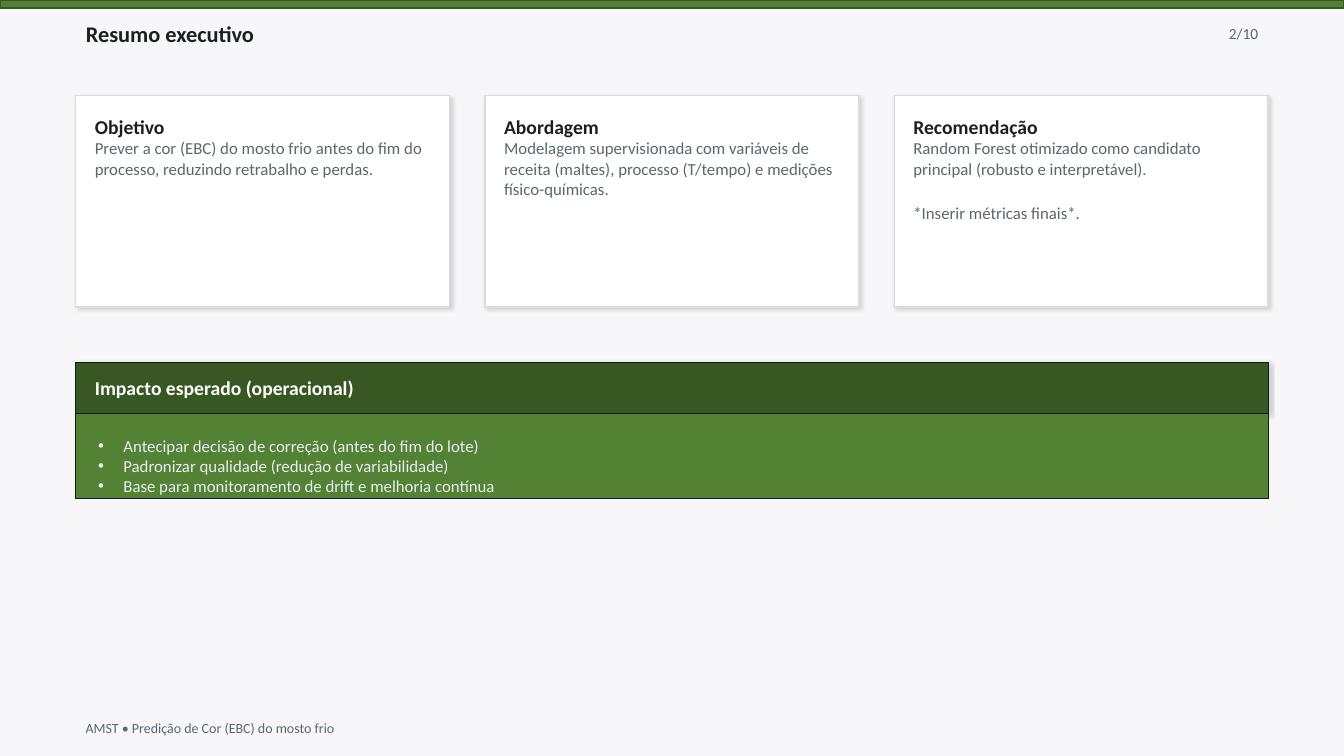
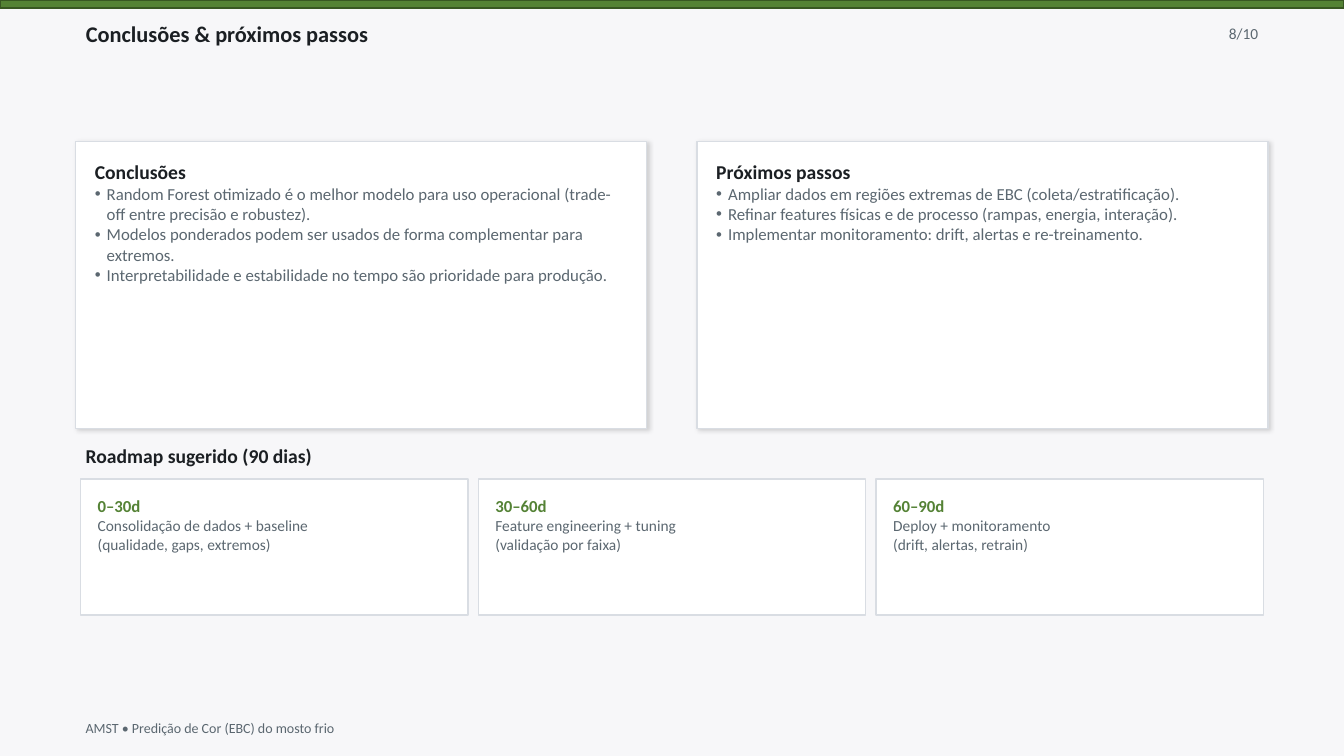
from lxml.etree import SubElement
from pptx import Presentation
from pptx.dml.color import RGBColor
from pptx.enum.shapes import MSO_SHAPE
from pptx.enum.text import MSO_ANCHOR as Anchor, MSO_AUTO_SIZE as AutoSize, PP_ALIGN as Align
from pptx.oxml.ns import qn
from pptx.util import Cm, Pt

# Colours
PAPER = RGBColor(0xF7, 0xF7, 0xF9)
WHITE = RGBColor(0xFF, 0xFF, 0xFF)
INK = RGBColor(0x1B, 0x1F, 0x23)
MUTED = RGBColor(0x5B, 0x67, 0x70)
PALE = RGBColor(0xE9, 0xEE, 0xF3)
GREEN = RGBColor(0x54, 0x82, 0x35)
DARK_GREEN = RGBColor(0x38, 0x57, 0x23)
NAVY = RGBColor(0x0D, 0x1B, 0x2A)
CARD_EDGE = RGBColor(0xD9, 0xDD, 0xE3)

# Page measures in centimetres
SLIDE_W, SLIDE_H = 33.87, 19.05
MARGIN = 1.91
CONTENT_W = SLIDE_W - 2 * MARGIN
FOOTER = "AMST • Predição de Cor (EBC) do mosto frio"
PAGE_TOTAL = 10

# Text styles
TITLE = {"size": Pt(16), "bold": True, "color": INK}
HEADING = {"size": Pt(14), "bold": True, "color": INK}
BAND_HEADING = {**HEADING, "color": WHITE}
BODY = {"size": Pt(12), "bold": False, "color": MUTED}
BAND_BODY = {**BODY, "color": PALE}
PHASE = {"size": Pt(12), "bold": True, "color": GREEN}
PHASE_BODY = {**BODY, "size": Pt(11)}
PAGE_NUMBER = {"size": Pt(11), "bold": False, "color": MUTED}
FOOTNOTE = {**PAGE_NUMBER, "size": Pt(10)}


def columns(count, gap, left=MARGIN, width=CONTENT_W):
    """Return the left edges and the common width of equal columns."""
    column_w = (width - gap * (count - 1)) / count
    return [left + i * (column_w + gap) for i in range(count)], column_w


class Deck:
    font = "Calibri"

    def __init__(self):
        self.prs = Presentation()
        self.prs.slide_width, self.prs.slide_height = Cm(SLIDE_W), Cm(SLIDE_H)
        background = self.prs.slide_master.background.fill
        background.solid()
        background.fore_color.rgb = PAPER
        self.slide = None

    def new_slide(self, title, number, layout):
        """Start a slide with its top bar, title, page number and footer."""
        self.slide = self.prs.slides.add_slide(self.prs.slide_layouts.get_by_name(layout))
        self.box((0, 0, SLIDE_W, 0.2), GREEN, DARK_GREEN)
        heading = self.slide.shapes.title
        self.place(heading, (MARGIN, 0.41, 27, 0.89))
        self.put_text(heading.text_frame, [title], TITLE, Anchor.MIDDLE)
        page_w = 2.8
        self.label(f"{number}/{PAGE_TOTAL}", (SLIDE_W - MARGIN - page_w, 0.46, page_w, 0.76),
                   PAGE_NUMBER, Align.RIGHT)
        self.label(FOOTER, (MARGIN, 18.03, CONTENT_W, 0.64), FOOTNOTE)

    def place(self, shape, area):
        for name, value in zip(("left", "top", "width", "height"), area):
            setattr(shape, name, Cm(value))

    def paint(self, shape, fill, edge, edge_width):
        shape.fill.solid()
        shape.fill.fore_color.rgb = fill
        shape.line.color.rgb = edge
        shape.line.width = Pt(edge_width)

    def box(self, area, fill, edge, edge_width=1, shadow=None):
        """Add a rectangle; shadow is the opacity in percent."""
        box = self.slide.shapes.add_shape(MSO_SHAPE.RECTANGLE, *map(Cm, area))
        self.paint(box, fill, edge, edge_width)
        box.shadow.inherit = False
        if shadow:
            effects = box.element.spPr.find(qn("a:effectLst"))
            outer = SubElement(effects, qn("a:outerShdw"), blurRad=str(Pt(3)),
                               dist=str(Pt(1.5)), dir=str(45 * 60000), rotWithShape="0")
            tone = SubElement(outer, qn("a:srgbClr"), val="000000")
            SubElement(tone, qn("a:alpha"), val=str(shadow * 1000))
        return box

    def format_frame(self, frame, anchor, inset):
        values = {"word_wrap": True, "auto_size": AutoSize.NONE, "vertical_anchor": anchor}
        if inset:
            for side in ("left", "top", "right", "bottom"):
                values[f"margin_{side}"] = Cm(inset)
        for name, value in values.items():
            setattr(frame, name, value)

    def put_text(self, frame, lines, style, anchor=Anchor.TOP, inset=None,
                 heading_style=None, hanging=0, align=Align.LEFT, gap=0):
        """Add one paragraph a line; heading_style sets the first one apart."""
        self.format_frame(frame, anchor, inset)
        for i, line in enumerate(lines):
            paragraph = frame.paragraphs[0] if i == 0 else frame.add_paragraph()
            is_heading = i == 0 and heading_style is not None
            layout = {"alignment": align, "space_after": Pt(0), "line_spacing": 1.0,
                      "space_before": Pt(gap if i > 1 else 0)}
            for name, value in layout.items():
                setattr(paragraph, name, value)
            if hanging and not is_heading:
                self.bullet(paragraph, hanging)
            run = paragraph.add_run()
            run.text = line
            self.style(run.font, heading_style if is_heading else style)

    def style(self, font, values):
        for name, value in {"name": self.font, **values}.items():
            if name == "color":
                font.color.rgb = value
            else:
                setattr(font, name, value)

    def bullet(self, paragraph, hanging):
        properties = paragraph._p.get_or_add_pPr()
        properties.set("marL", str(Cm(hanging)))
        properties.set("indent", str(-Cm(hanging)))
        SubElement(properties, qn("a:buFont"), typeface="Arial")
        SubElement(properties, qn("a:buChar"), char="•")

    def label(self, text, area, style, align=Align.LEFT):
        label = self.slide.shapes.add_textbox(*map(Cm, area))
        self.put_text(label.text_frame, [text], style, Anchor.MIDDLE, align=align)

    def card(self, area, lines, hanging=0, gap=0):
        card = self.box(area, WHITE, CARD_EDGE, shadow=14)
        self.put_text(card.text_frame, lines, BODY, inset=0.48,
                      heading_style=HEADING, hanging=hanging, gap=gap)

    def phase(self, area, lines):
        phase = self.box(area, WHITE, CARD_EDGE)
        self.put_text(phase.text_frame, lines, PHASE_BODY, inset=0.43, heading_style=PHASE)

    def band(self, area, text):
        band = self.box(area, DARK_GREEN, NAVY, 0.75, shadow=16)
        self.put_text(band.text_frame, [text], BAND_HEADING, Anchor.MIDDLE, 0.48)

    def band_list(self, area, items):
        """Fill the body placeholder and bring it in front of the band."""
        body = self.slide.placeholders[1]
        self.place(body, area)
        self.paint(body, GREEN, NAVY, 0.75)
        self.put_text(body.text_frame, items, BAND_BODY, inset=0.56, hanging=0.64)
        self.slide.shapes.element.append(body.element)


def add_summary(deck):
    deck.new_slide("Resumo executivo", 2, "Title and Content")

    # Three cards
    cards = [
        ["Objetivo",
         "Prever a cor (EBC) do mosto frio antes do fim do processo, "
         "reduzindo retrabalho e perdas."],
        ["Abordagem",
         "Modelagem supervisionada com variáveis de receita (maltes), "
         "processo (T/tempo) e medições físico-químicas."],
        ["Recomendação",
         "Random Forest otimizado como candidato principal (robusto e interpretável).",
         "*Inserir métricas finais*."],
    ]
    lefts, width = columns(len(cards), 0.89)
    for left, lines in zip(lefts, cards):
        deck.card((left, 2.41, width, 5.33), lines, gap=17)

    # Expected impact
    deck.band((MARGIN, 9.14, CONTENT_W, 1.27), "Impacto esperado (operacional)")
    deck.band_list((MARGIN, 10.41, CONTENT_W, 2.16), [
        "Antecipar decisão de correção (antes do fim do lote)",
        "Padronizar qualidade (redução de variabilidade)",
        "Base para monitoramento de drift e melhoria contínua",
    ])


def add_conclusions(deck):
    deck.new_slide("Conclusões & próximos passos", 8, "Title Only")

    # Conclusions and next steps
    cards = [
        ["Conclusões",
         "Random Forest otimizado é o melhor modelo para uso operacional "
         "(trade-off entre precisão e robustez).",
         "Modelos ponderados podem ser usados de forma complementar para extremos.",
         "Interpretabilidade e estabilidade no tempo são prioridade para produção."],
        ["Próximos passos",
         "Ampliar dados em regiões extremas de EBC (coleta/estratificação).",
         "Refinar features físicas e de processo (rampas, energia, interação).",
         "Implementar monitoramento: drift, alertas e re-treinamento."],
    ]
    lefts, width = columns(len(cards), 1.27)
    for left, lines in zip(lefts, cards):
        deck.card((left, 3.56, width, 7.24), lines, hanging=0.3)

    # Roadmap
    deck.label("Roadmap sugerido (90 dias)", (MARGIN, 11.05, CONTENT_W, 0.89), HEADING)
    phases = [
        ["0–30d", "Consolidação de dados + baseline", "(qualidade, gaps, extremos)"],
        ["30–60d", "Feature engineering + tuning", "(validação por faixa)"],
        ["60–90d", "Deploy + monitoramento", "(drift, alertas, retrain)"],
    ]
    indent = 0.12
    lefts, width = columns(len(phases), 0.26, MARGIN + indent, CONTENT_W - 2 * indent)
    for left, lines in zip(lefts, phases):
        deck.phase((left, 12.07, width, 3.43), lines)


def main():
    deck = Deck()
    add_summary(deck)
    add_conclusions(deck)
    deck.prs.save("out.pptx")


if __name__ == "__main__":
    main()
